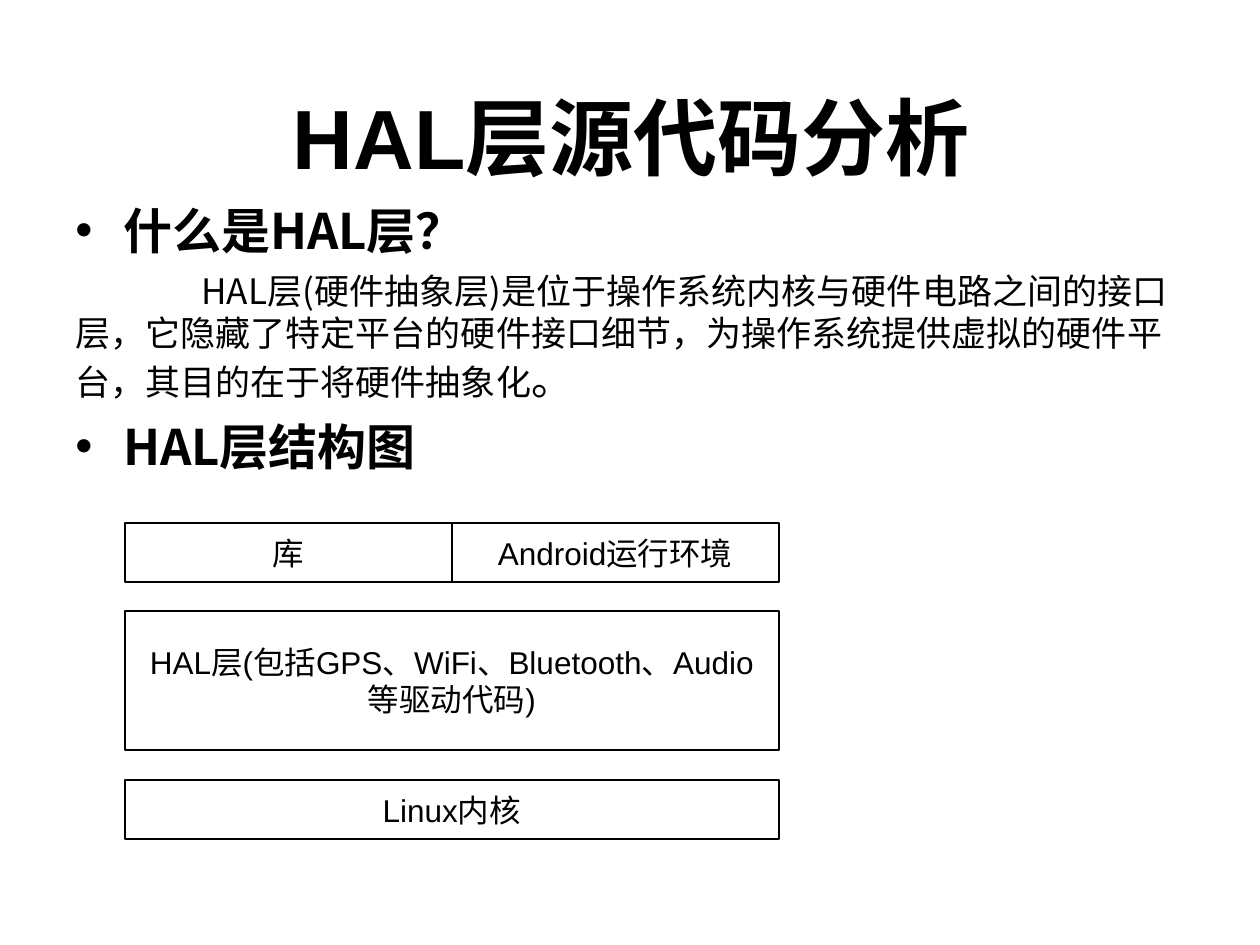
import pptx
import pptx.util
import pptx.dml.color
import pptx.enum.shapes
import pptx.enum.text
from lxml import etree

Inches, Pt = pptx.util.Inches, pptx.util.Pt
ALIGN = pptx.enum.text.PP_ALIGN
ANCHOR = pptx.enum.text.MSO_ANCHOR
BLACK = pptx.dml.color.RGBColor(0, 0, 0)
WHITE = pptx.dml.color.RGBColor(255, 255, 255)
SANS, CJK = "Arial", "Noto Sans CJK SC"

# Content
TITLE = "HAL层源代码分析"
BODY = [  # kind, runs of (text, size)
    ("heading", [("什么是HAL层？", 28)]),
    ("text", [("\tHAL层(硬件抽象层)是位于操作系统内核与硬件电路之间的接口层，"
               "它隐藏了特定平台的硬件接口细节，为操作系统提供虚拟的硬件平台，"
               "其目的在于将硬件抽象化", 20), ("。", 24)]),
    ("heading", [("HAL层结构图", 28)]),
]
LAYERS = [  # top, height, boxes side by side
    (4.15, 0.47, ["库", "Android运行环境"]),
    (4.85, 1.1, ["HAL层(包括GPS、WiFi、Bluetooth、Audio等驱动代码)"]),
    (6.19, 0.47, ["Linux内核"]),
]
STACK_LEFT, STACK_WIDTH = 0.99, 5.19


def add_text(p, text, size, font=SANS, bold=False, align=None):
    r = p.add_run()
    r.text = text
    f = r.font
    f.size, f.bold, f.name = Pt(size), bold, font
    f.color.rgb = BLACK
    ea = etree.SubElement(f._element, pptx.oxml.ns.qn("a:ea"))
    ea.set("typeface", font)
    if align is not None:
        p.alignment = align


def add_bullet(p):
    pPr = p._p.get_or_add_pPr()
    pPr.set("marL", str(Inches(0.38)))
    pPr.set("indent", str(-Inches(0.38)))
    font = etree.SubElement(pPr, pptx.oxml.ns.qn("a:buFont"))
    font.set("typeface", SANS)
    etree.SubElement(pPr, pptx.oxml.ns.qn("a:buChar")).set("char", "•")


def add_tab(p, pos):
    pPr = p._p.get_or_add_pPr()
    tabs = etree.SubElement(pPr, pptx.oxml.ns.qn("a:tabLst"))
    tab = etree.SubElement(tabs, pptx.oxml.ns.qn("a:tab"))
    tab.set("pos", str(Inches(pos)))
    tab.set("algn", "l")


prs = pptx.Presentation()
prs.slide_width, prs.slide_height = Inches(10), Inches(7.5)
s = prs.slides.add_slide(prs.slide_layouts[5])
s.background.fill.solid()
s.background.fill.fore_color.rgb = WHITE

# Title
title = s.shapes.title
title.left, title.top = Inches(0.51), Inches(0.68)
title.width, title.height = Inches(9), Inches(0.79)
tf = title.text_frame
tf.auto_size = pptx.enum.text.MSO_AUTO_SIZE.NONE
tf.vertical_anchor = ANCHOR.MIDDLE
add_text(tf.paragraphs[0], TITLE, 48, bold=True, align=ALIGN.CENTER)

# Body text
tf = s.shapes.add_textbox(Inches(0.5), Inches(1.54), Inches(9), Inches(5.16)).text_frame
tf.word_wrap = True
for i, (kind, runs) in enumerate(BODY):
    p = tf.paragraphs[0] if i == 0 else tf.add_paragraph()
    heading = kind == "heading"
    if heading:
        add_bullet(p)
    else:
        add_tab(p, 1)
    if i > 0:
        p.space_before = Pt(7 if heading else 6)
    for text, size in runs:
        add_text(p, text, size, font=CJK, bold=heading)

# Layer diagram
for top, height, boxes in LAYERS:
    width = STACK_WIDTH / len(boxes)
    for col, text in enumerate(boxes):
        sp = s.shapes.add_shape(
            pptx.enum.shapes.MSO_SHAPE.FLOWCHART_PROCESS,
            Inches(STACK_LEFT + col * width), Inches(top), Inches(width), Inches(height))
        sp.shadow.inherit = False
        sp.fill.background()
        sp.line.color.rgb = BLACK
        sp.line.width = Pt(1)
        tf = sp.text_frame
        tf.word_wrap = True
        tf.vertical_anchor = ANCHOR.MIDDLE
        add_text(tf.paragraphs[0], text, 18, align=ALIGN.CENTER)

prs.save("out.pptx")
